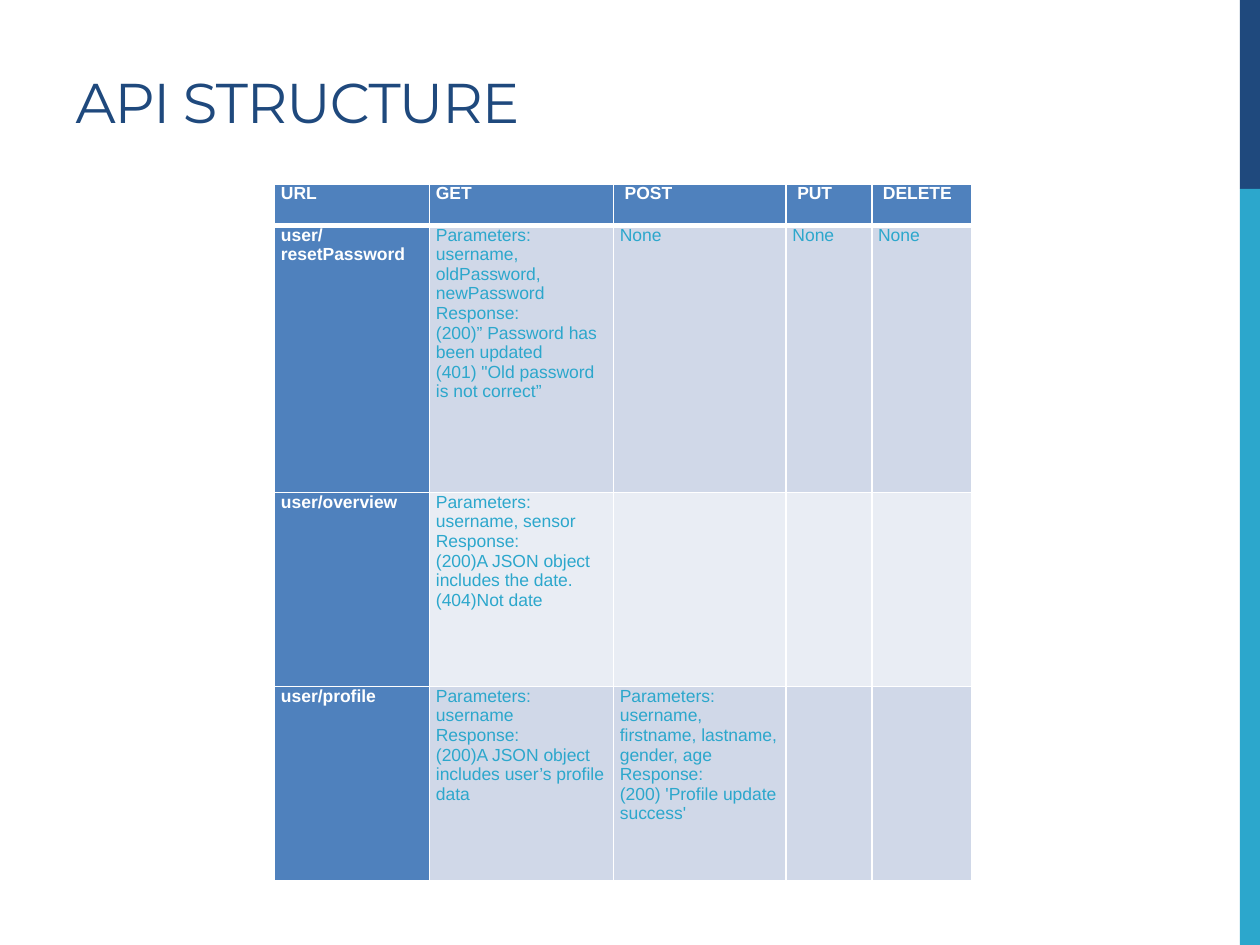
from lxml.etree import SubElement
from pptx import Presentation
from pptx.dml.color import RGBColor
from pptx.enum.shapes import MSO_SHAPE as Shape
from pptx.enum.text import MSO_ANCHOR as Anchor, PP_ALIGN as Align
from pptx.oxml.ns import qn
from pptx.util import Inches, Pt

NAVY, TEAL, BLUE, WHITE = "1F497D", "2CA7CC", "4F81BD", "FFFFFF"
BANDS = ("D0D8E8", "E9EDF4")

COLUMN_WIDTHS = (1.23, 1.46, 1.37, 0.68, 0.79)
ROW_HEIGHTS = (0.33, 2.12, 1.54, 1.54)
ENDPOINTS = [
    ["URL", "GET", " POST", " PUT", " DELETE"],
    ["user/resetPassword",
     "Parameters:\nusername, oldPassword,\nnewPassword\nResponse:\n"
     "(200)” Password has been updated\n(401) \"Old password is not correct”",
     "None", "None", "None"],
    ["user/overview",
     "Parameters:\nusername, sensor\nResponse:\n"
     "(200)A JSON object includes the date.\n(404)Not date",
     "", "", ""],
    ["user/profile",
     "Parameters:\nusername\nResponse:\n"
     "(200)A JSON object includes user’s profile data",
     "Parameters:\nusername, firstname, lastname, gender, age\nResponse:\n"
     "(200) 'Profile update success'",
     "", ""],
]


def rgb(value):
    return RGBColor.from_string(value)


class SlideBuilder:
    """Holds the style and the slide being built."""

    title_font = {"name": "Montserrat", "size": Pt(32), "bold": False}
    label_font = {"name": "Arial", "size": Pt(10), "bold": True}
    body_font = {"name": "Arial", "size": Pt(10), "bold": False}

    def __init__(self, slide):
        self.slide = slide

    def format_font(self, font, style, color):
        for name, value in style.items():
            setattr(font, name, value)
        font.color.rgb = rgb(color)

    def title(self, text, left, top, width, height):
        heading = self.slide.shapes.title
        heading.left, heading.top = Inches(left), Inches(top)
        heading.width, heading.height = Inches(width), Inches(height)
        frame = heading.text_frame
        frame.text, frame.word_wrap = text, True
        frame.vertical_anchor = Anchor.BOTTOM
        frame.paragraphs[0].alignment = Align.LEFT
        run = frame.paragraphs[0].runs[0]
        self.format_font(run.font, self.title_font, NAVY)
        run.font._element.set("spc", "-60")

    def bar(self, color, left, top, width, height):
        bar = self.slide.shapes.add_shape(
            Shape.RECTANGLE, Inches(left), Inches(top), Inches(width), Inches(height))
        bar.shadow.inherit = False
        bar.fill.solid()
        bar.fill.fore_color.rgb = rgb(color)
        bar.line.fill.background()

    def borders(self, cell, bottom):
        properties = cell._tc.get_or_add_tcPr()
        for side, points in (("L", 1), ("R", 1), ("T", 1), ("B", bottom)):
            line = SubElement(properties, qn(f"a:ln{side}"), w=str(Pt(points)))
            fill = SubElement(line, qn("a:solidFill"))
            SubElement(fill, qn("a:srgbClr"), val=WHITE)

    def cell(self, cell, text, is_label, fill, bottom):
        self.borders(cell, bottom)
        cell.fill.solid()
        cell.fill.fore_color.rgb = rgb(fill)
        cell.margin_left = cell.margin_right = Inches(0.05)
        cell.margin_top = cell.margin_bottom = 0
        cell.text = text
        style, color = (self.label_font, WHITE) if is_label else (self.body_font, TEAL)
        for paragraph in cell.text_frame.paragraphs:
            self.format_font(paragraph.font, style, color)
            for run in paragraph.runs:
                self.format_font(run.font, style, color)

    def table(self, rows, left, top, widths, heights):
        table = self.slide.shapes.add_table(
            len(rows), len(widths), Inches(left), Inches(top),
            Inches(sum(widths)), Inches(sum(heights))).table
        table.first_col = True
        for column, width in zip(table.columns, widths):
            column.width = Inches(width)
        for row, height in zip(table.rows, heights):
            row.height = Inches(height)
        for r, texts in enumerate(rows):
            for c, text in enumerate(texts):
                is_label = r == 0 or c == 0
                fill = BLUE if is_label else BANDS[(r - 1) % 2]
                self.cell(table.cell(r, c), text, is_label, fill, 3 if r == 0 else 1)


def main():
    deck = Presentation()
    deck.slide_width, deck.slide_height = Inches(10), Inches(7.5)
    builder = SlideBuilder(deck.slides.add_slide(deck.slide_layouts[5]))

    # Side stripe
    builder.bar(NAVY, 9.84, 0, 0.16, 1.5)
    builder.bar(TEAL, 9.84, 1.5, 0.16, 6)

    # Heading and endpoint table
    builder.title("API STRUCTURE", 0.5, 0.36, 6.33, 0.76)
    builder.table(ENDPOINTS, 2.18, 1.46, COLUMN_WIDTHS, ROW_HEIGHTS)

    deck.save("out.pptx")


if __name__ == "__main__":
    main()
